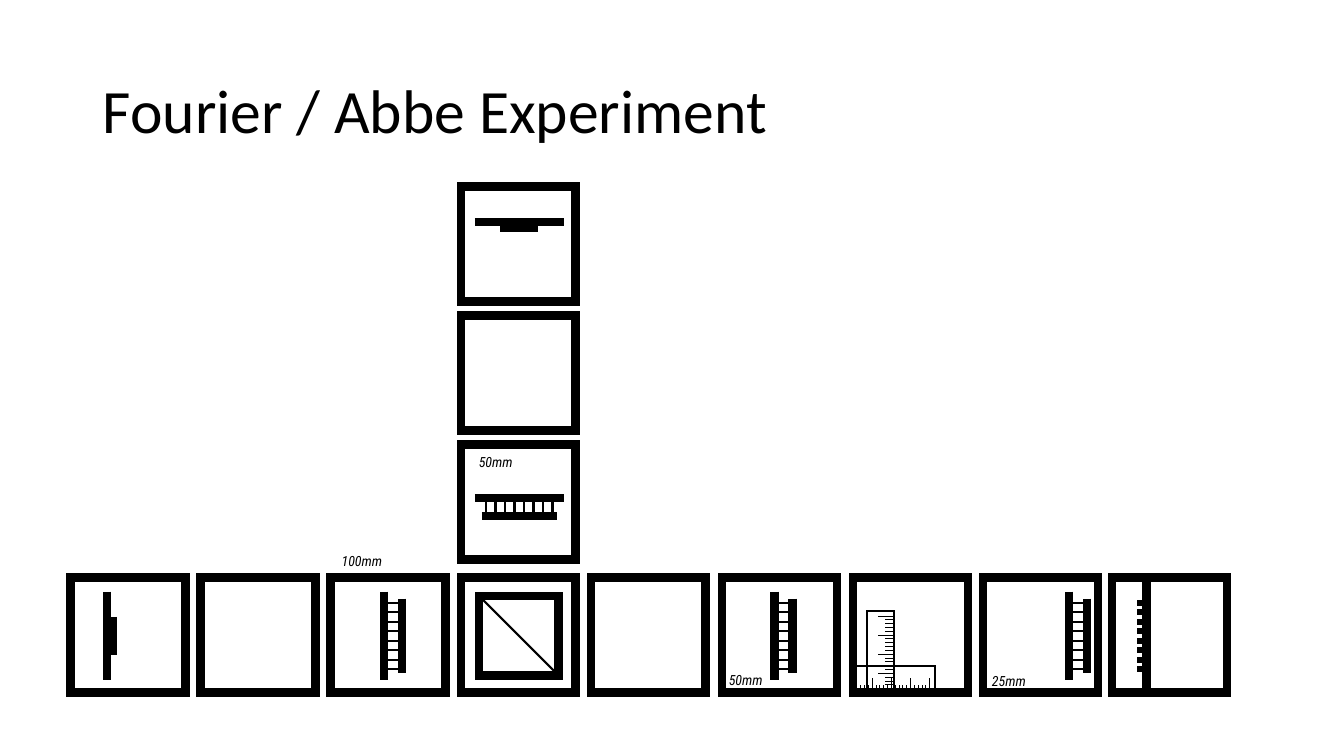
from lxml import etree
from pptx import Presentation
from pptx.dml.color import RGBColor
from pptx.enum.shapes import MSO_CONNECTOR, MSO_SHAPE
from pptx.enum.text import MSO_ANCHOR, MSO_AUTO_SIZE, PP_ALIGN
from pptx.oxml.ns import qn
from pptx.util import Inches, Pt

BLACK = RGBColor(0x00, 0x00, 0x00)
HEAVY, MEDIUM, THIN, HAIR = 6, 4.5, 1.5, 0.5
CUBE_SIZE = 1.14
ROW_TOP = 5.73
COLUMN_LEFT = 4.57
RUNG_COUNT, RUNG_STEP = 8, 0.66 / 7
TICK_COUNT, TICK_STEP = 21, 0.038


class OpticsSlide:
    """Holds the drawing style and the slide being drawn."""

    def __init__(self, presentation):
        self.slide = presentation.slides.add_slide(presentation.slide_layouts[5])
        self.shapes = self.slide.shapes

    def start_group(self):
        self.shapes = self.slide.shapes.add_group_shape().shapes

    def title(self, text):
        shape = self.slide.shapes.title
        shape.left, shape.top = Inches(0.92), Inches(0.4)
        shape.width, shape.height = Inches(11.5), Inches(1.45)
        frame = shape.text_frame
        frame.auto_size = MSO_AUTO_SIZE.NONE
        frame.vertical_anchor = MSO_ANCHOR.MIDDLE
        paragraph = frame.paragraphs[0]
        paragraph.alignment = PP_ALIGN.LEFT
        paragraph.line_spacing = 0.9
        self.run(paragraph, text, "Calibri", 44)

    def run(self, paragraph, text, font_name, size, italic=False):
        run = paragraph.add_run()
        run.text = text
        run.font.name = font_name
        run.font.size = Pt(size)
        run.font.italic = italic
        run.font.color.rgb = BLACK

    def label(self, text, left, top, width):
        shape = self.slide.shapes.add_textbox(
            Inches(left), Inches(top), Inches(width), Inches(0.27))
        frame = shape.text_frame
        frame.word_wrap = False
        frame.auto_size = MSO_AUTO_SIZE.SHAPE_TO_FIT_TEXT
        self.run(frame.paragraphs[0], text, "Roboto Condensed", 10, italic=True)

    def box(self, left, top, width, height, weight=HEAVY):
        shape = self.shapes.add_shape(
            MSO_SHAPE.RECTANGLE,
            Inches(left), Inches(top), Inches(width), Inches(height))
        shape.shadow.inherit = False
        shape.fill.background()
        shape.line.color.rgb = BLACK
        shape.line.width = Pt(weight)
        # Square corners
        outline = shape.line._get_or_add_ln()
        etree.SubElement(outline, qn("a:miter"), lim="800000")

    def cube(self, left, top=ROW_TOP):
        self.start_group()
        self.box(left, top, CUBE_SIZE, CUBE_SIZE)

    def line(self, start, end, weight=HEAVY):
        connector = self.shapes.add_connector(
            MSO_CONNECTOR.STRAIGHT,
            Inches(start[0]), Inches(start[1]), Inches(end[0]), Inches(end[1]))
        connector.line.color.rgb = BLACK
        connector.line.width = Pt(weight)
        etree.SubElement(connector._element.spPr, qn("a:effectLst"))

    def bar(self, across, start, end, upright, weight=HEAVY):
        """A line along the part, at a fixed place across it."""
        if upright:
            self.line((across, start), (across, end), weight)
        else:
            self.line((start, across), (end, across), weight)

    def rungs(self, start, end, first, upright, weight=THIN):
        """Equally spaced short lines across an upright or level part."""
        for index in range(RUNG_COUNT):
            place = first + index * RUNG_STEP
            self.bar(place, start, end, not upright, weight)

    def lens(self, plate, start, upright=True):
        self.bar(plate, start, start + 0.88, upright)
        self.rungs(plate + 0.02, plate + 0.18, start + 0.11, upright)
        self.bar(plate + 0.18, start + 0.07, start + 0.81, upright)

    def mount(self, plate, start, upright=True):
        """A plate with a small block in front of it."""
        self.bar(plate, start, start + 0.88, upright)
        self.bar(plate + 0.06, start + 0.25, start + 0.63, upright)

    def ruler_ticks(self, first, step, base, upright):
        for index in range(TICK_COUNT):
            length = 0.08 if index % 5 else 0.15
            self.bar(first + index * step, base - length, base, not upright, HAIR)


def main():
    presentation = Presentation()
    presentation.slide_width = Inches(13.33)
    presentation.slide_height = Inches(7.5)
    drawing = OpticsSlide(presentation)
    drawing.title("Fourier / Abbe Experiment")

    # Empty cubes
    for left, top in ((1.99, ROW_TOP), (5.86, ROW_TOP), (COLUMN_LEFT, 3.13)):
        drawing.cube(left, top)

    # Light source on the left, mirror at the top
    drawing.cube(0.7)
    drawing.mount(1.06, 5.87)
    drawing.cube(COLUMN_LEFT, 1.85)
    drawing.mount(2.2, 4.71, upright=False)

    # Lenses along the row and in the column
    for left, plate in ((3.28, 3.81), (7.16, 7.68), (9.75, 10.6)):
        drawing.cube(left)
        drawing.lens(plate, 5.87)
    drawing.cube(COLUMN_LEFT, 4.41)
    drawing.lens(4.94, 4.71, upright=False)

    # Beam splitter
    drawing.cube(COLUMN_LEFT)
    drawing.box(4.75, 5.91, 0.79, 0.79)
    drawing.line((4.78, 5.94), (5.51, 6.67), THIN)

    # Sample stage with two rulers
    drawing.cube(8.46)
    drawing.box(8.6, 6.06, 0.27, 0.82, THIN)
    drawing.ruler_ticks(6.11, TICK_STEP, 8.86, upright=True)
    drawing.box(8.45, 6.61, 0.82, 0.27, THIN)
    drawing.ruler_ticks(9.22, -TICK_STEP, 6.88, upright=False)

    # Grating on the right
    drawing.cube(11.03)
    drawing.line((11.37, ROW_TOP), (11.37, 6.88))
    drawing.rungs(11.28, 11.36, 5.98, upright=True, weight=MEDIUM)

    # Focal lengths
    for text, left, top, width in (
        ("100mm", 3.29, 5.43, 0.61),
        ("50mm", 4.65, 4.45, 0.55),
        ("50mm", 7.13, 6.61, 0.55),
        ("25mm", 9.74, 6.62, 0.55),
    ):
        drawing.label(text, left, top, width)

    presentation.save("out.pptx")


if __name__ == "__main__":
    main()
